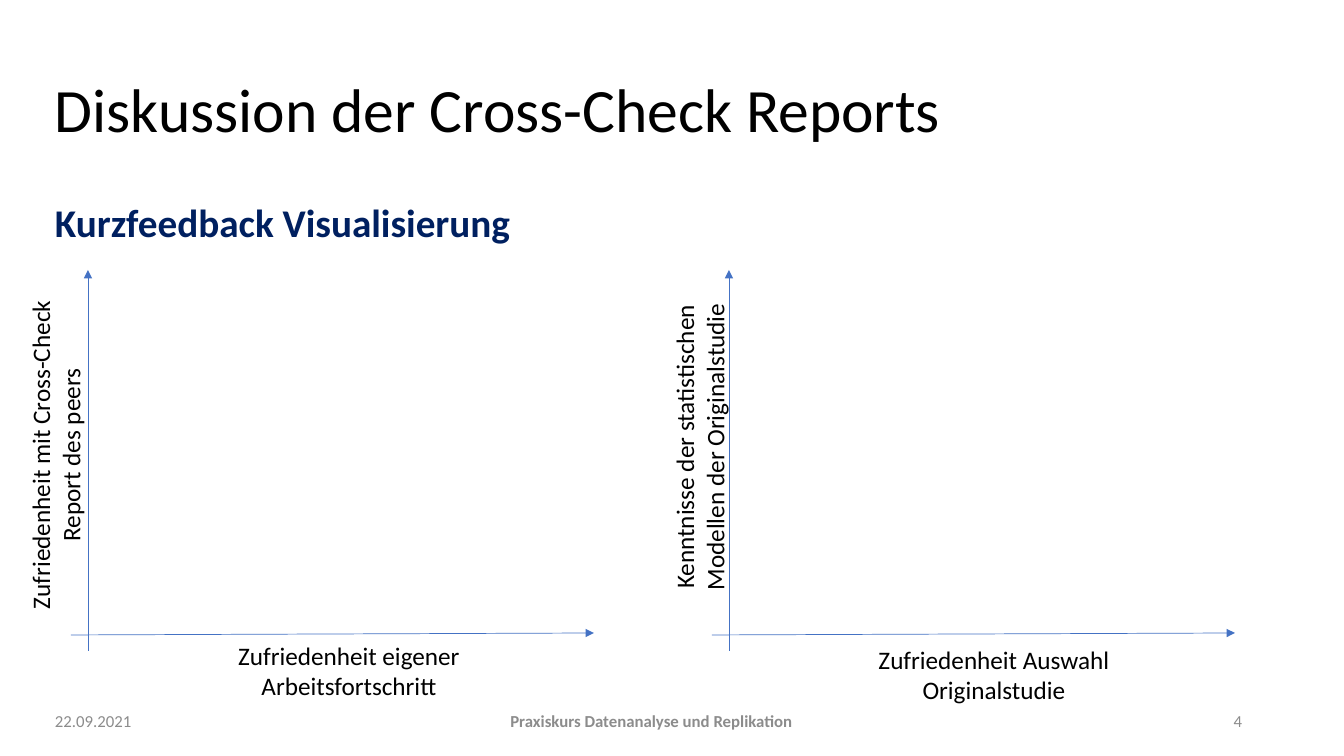
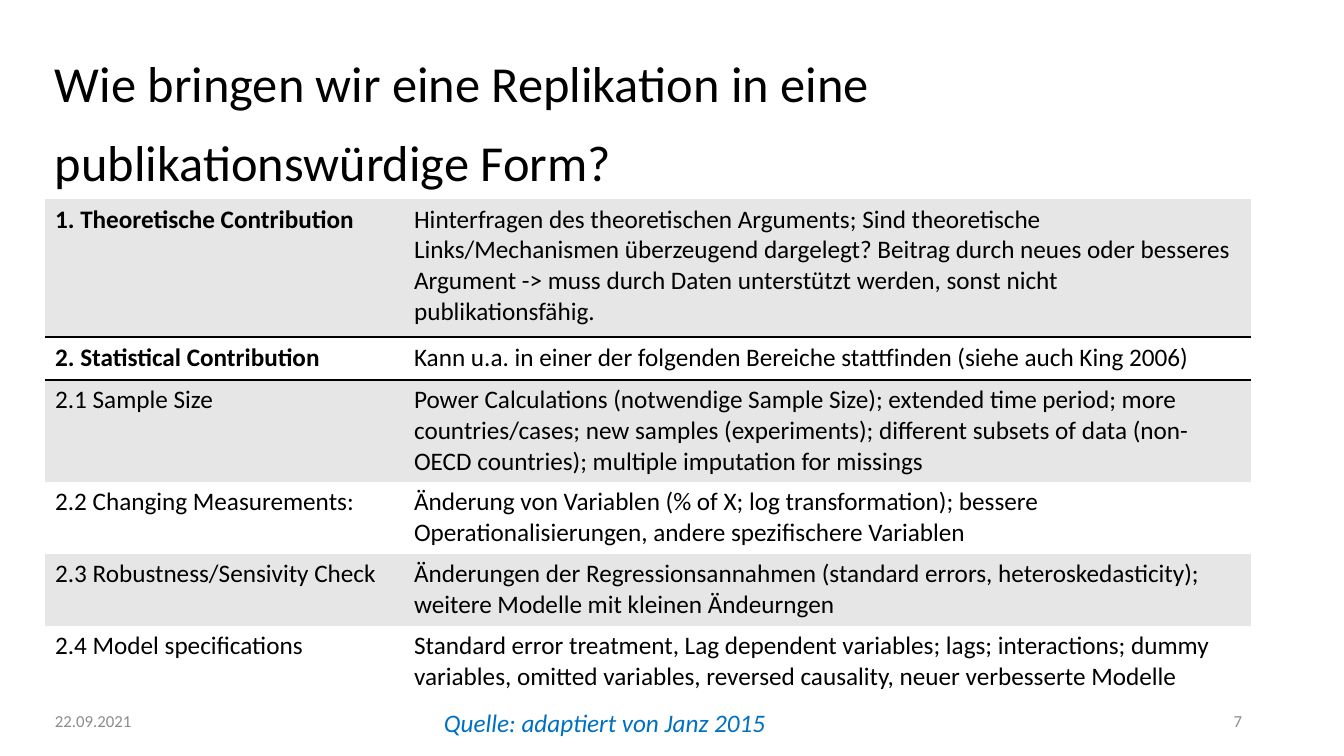
from lxml import etree
from pptx import Presentation
from pptx import util as u
from pptx.dml.color import RGBColor
from pptx.enum import shapes, text
from pptx.oxml.ns import qn

SCALE = 914400 / 100.8
FONT = "Calibri"
COLORS = {
    "text": "000000",
    "footer": "8C8C8C",
    "heading": "002060",
    "source": "0070C0",
    "axis": "4472C4",
    "band": "E7E6E6",
}
LEFT, CENTER, RIGHT = text.PP_ALIGN.LEFT, text.PP_ALIGN.CENTER, text.PP_ALIGN.RIGHT
TOP, MIDDLE = text.MSO_ANCHOR.TOP, text.MSO_ANCHOR.MIDDLE
NO_GRID_STYLE = "{2D5ABB26-0587-4C30-8999-92F81FD0307C}"
DATE = "22.09.2021"
COURSE = "Praxiskurs Datenanalyse und Replikation"
CONTRIBUTIONS = [
    ("1. Theoretische Contribution",
     "Hinterfragen des theoretischen Arguments; Sind theoretische Links/Mechanismen "
     "überzeugend dargelegt? Beitrag durch neues oder besseres Argument -> muss durch "
     "Daten unterstützt werden, sonst nicht publikationsfähig."),
    ("2. Statistical Contribution",
     "Kann u.a. in einer der folgenden Bereiche stattfinden (siehe auch King 2006)"),
    ("2.1 Sample Size",
     "Power Calculations (notwendige Sample Size); extended time period; more "
     "countries/cases; new samples (experiments); different subsets of data "
     "(non-OECD countries); multiple imputation for missings"),
    ("2.2 Changing Measurements:",
     "Änderung von Variablen (% of X; log transformation); bessere "
     "Operationalisierungen, andere spezifischere Variablen"),
    ("2.3 Robustness/Sensivity Check",
     "Änderungen der Regressionsannahmen (standard errors, heteroskedasticity); "
     "weitere Modelle mit kleinen Ändeurngen"),
    ("2.4 Model specifications",
     "Standard error treatment, Lag dependent variables; lags; interactions; dummy "
     "variables, omitted variables, reversed causality, neuer verbesserte Modelle"),
]
MAIN_ROWS = 2
ROW_HEIGHTS = [138, 43, 102, 72, 72, 72]
COLUMN_WIDTHS = [359, 847]


def px(value):
    """Convert picture pixels to EMU."""
    return u.Emu(round(value * SCALE))


def add_run(paragraph, words, size, color="text", bold=False, italic=False):
    """Add one formatted run to a paragraph."""
    run = paragraph.add_run()
    run.text = words
    run.font.name = FONT
    run.font.size = u.Pt(size)
    run.font.bold = bold
    run.font.italic = italic
    run.font.color.rgb = RGBColor.from_string(COLORS[color])


def add_text(slide, box, words, size, align=LEFT, anchor=TOP, rotation=0, **style):
    """Add a wrapping text box and return its paragraph."""
    shape = slide.shapes.add_textbox(*map(px, box))
    shape.rotation = rotation
    shape.text_frame.word_wrap = True
    shape.text_frame.vertical_anchor = anchor
    paragraph = shape.text_frame.paragraphs[0]
    paragraph.alignment = align
    add_run(paragraph, words, size, **style)
    return paragraph


def add_title(slide, words, size, spacing):
    """Add the slide title."""
    paragraph = add_text(slide, (45, 40, 1038, 146), words, size, anchor=MIDDLE)
    paragraph.line_spacing = spacing


def add_footer(slide, number, course=None):
    """Add date, slide number and, if given, the course name."""
    style = {"size": 12, "anchor": MIDDLE, "color": "footer"}
    add_text(slide, (45, 701, 150, 40), DATE, **style)
    if course:
        add_text(slide, (219, 701, 865, 40), course, align=CENTER, bold=True, **style)
    add_text(slide, (1101, 701, 151, 40), str(number), align=RIGHT, **style)


def add_arrow(slide, start, end):
    """Add a thin axis arrow."""
    connector = slide.shapes.add_connector(
        shapes.MSO_CONNECTOR.STRAIGHT, *map(px, start + end))
    connector.line.width = u.Pt(0.5)
    connector.line.color.rgb = RGBColor.from_string(COLORS["axis"])
    properties = connector.element.spPr
    line = properties.find(qn("a:ln"))
    etree.SubElement(line, qn("a:tailEnd"), type="triangle")
    etree.SubElement(properties, qn("a:effectLst"))


def add_axes(slide, left, x_label, x_box, y_label, y_box):
    """Add an empty coordinate system with its two labels."""
    add_arrow(slide, (left, 635), (left + 523, 633))
    add_arrow(slide, (left + 17, 651), (left + 17, 270))
    add_text(slide, x_box, x_label, 18, CENTER)
    add_text(slide, y_box, y_label, 18, CENTER, rotation=270)


def add_bottom_border(cell):
    """Draw a black line under a table cell."""
    border = etree.Element(qn("a:lnB"), w=str(u.Pt(1)))
    fill = etree.SubElement(border, qn("a:solidFill"))
    etree.SubElement(fill, qn("a:srgbClr"), val=COLORS["text"])
    cell._tc.get_or_add_tcPr().insert(0, border)


def add_table(slide, left, top, rows):
    """Add the banded table of contributions."""
    frame = slide.shapes.add_table(
        len(rows), len(COLUMN_WIDTHS), px(left), px(top),
        px(sum(COLUMN_WIDTHS)), px(sum(ROW_HEIGHTS)))
    table = frame.table
    table.first_row = table.horz_banding = False
    table._tbl.tblPr.find(qn("a:tableStyleId")).text = NO_GRID_STYLE
    for column, width in zip(table.columns, COLUMN_WIDTHS):
        column.width = px(width)
    for row, height in zip(table.rows, ROW_HEIGHTS):
        row.height = px(height)
    for row_index, row in enumerate(rows):
        for column_index, words in enumerate(row):
            cell = table.cell(row_index, column_index)
            is_main = row_index < MAIN_ROWS
            add_run(cell.text_frame.paragraphs[0], words, 18,
                    bold=is_main and column_index == 0)
            if row_index % 2 == 0:
                cell.fill.solid()
                cell.fill.fore_color.rgb = RGBColor.from_string(COLORS["band"])
            else:
                cell.fill.background()
            if is_main:
                add_bottom_border(cell)


def build_discussion(slide):
    """Build the slide with the two feedback diagrams."""
    add_footer(slide, 4, COURSE)
    add_axes(slide, 71,
             "Zufriedenheit eigener Arbeitsfortschritt", (202, 635, 294, 72),
             "Zufriedenheit mit Cross-Check Report des peers", (-111, 419, 334, 72))
    add_axes(slide, 712,
             "Zufriedenheit Auswahl Originalstudie", (827, 639, 334, 72),
             "Kenntnisse der statistischen Modellen der Originalstudie",
             (533, 411, 334, 72))
    heading = add_text(slide, (45, 202, 1206, 52), "Kurzfeedback Visualisierung", 28,
                       color="heading", bold=True)
    heading.line_spacing = 0.8
    heading.space_before = u.Pt(10)
    add_title(slide, "Diskussion der Cross-Check Reports", 44, 0.9)


def build_publication(slide):
    """Build the slide with the table of contributions."""
    add_title(slide, "Wie bringen wir eine Replikation in eine "
              "publikationswürdige Form?", 36, 1.3)
    add_footer(slide, 7)
    add_table(slide, 45, 199, CONTRIBUTIONS)
    add_text(slide, (434, 702, 529, 40), "Quelle: adaptiert von Janz 2015", 18,
             color="source", italic=True)


def main():
    """Build and save the presentation."""
    presentation = Presentation()
    presentation.slide_width, presentation.slide_height = px(1344), px(756)
    for build in (build_discussion, build_publication):
        build(presentation.slides.add_slide(presentation.slide_layouts[6]))
    presentation.save("out.pptx")


main()
